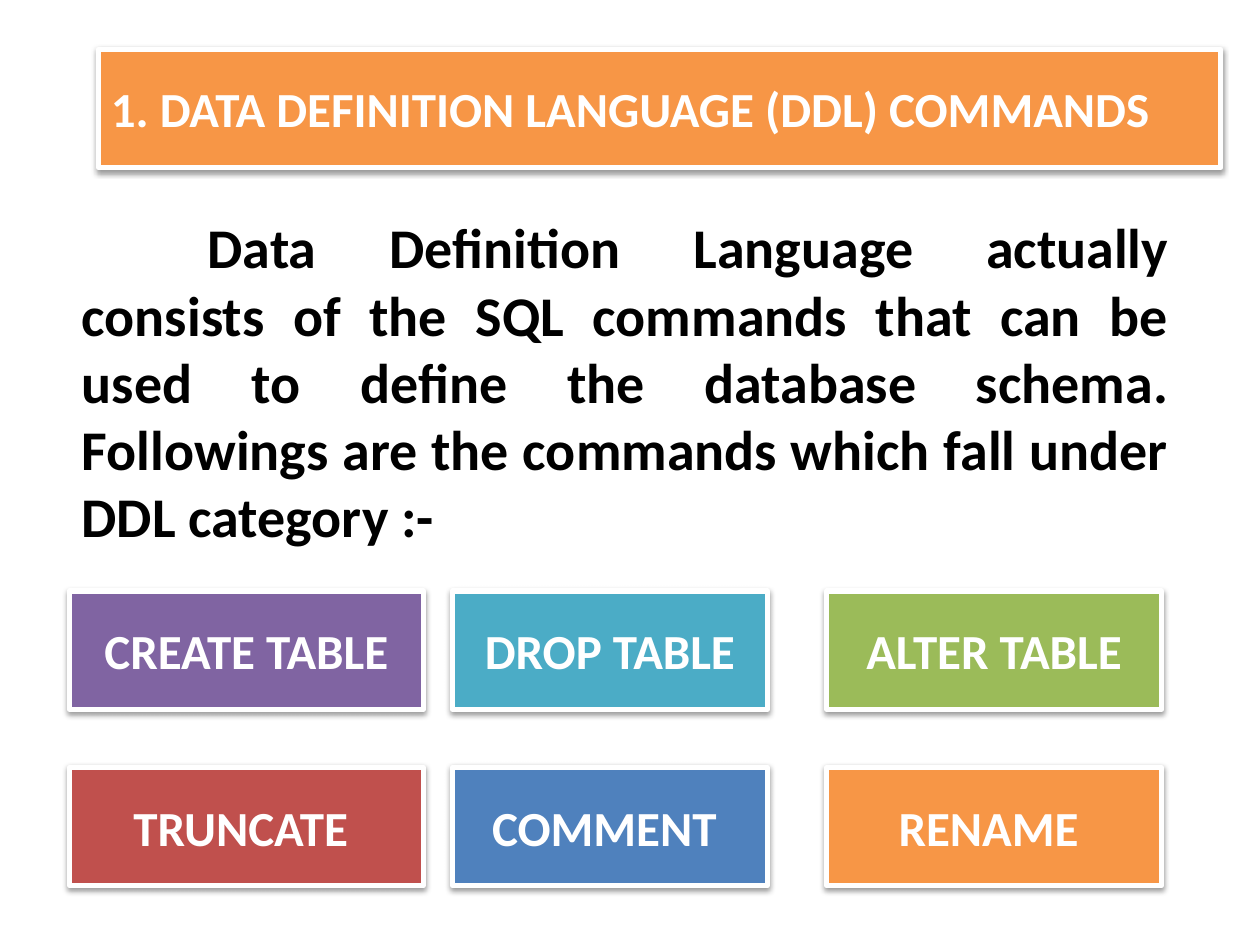
import pptx
import pptx.dml.color
import pptx.enum.shapes
import pptx.enum.text
import pptx.oxml
import pptx.oxml.ns
import pptx.util

Inches = pptx.util.Inches
Pt = pptx.util.Pt
RGBColor = pptx.dml.color.RGBColor
PP_ALIGN = pptx.enum.text.PP_ALIGN

WHITE = RGBColor(0xFF, 0xFF, 0xFF)
BLACK = RGBColor(0x00, 0x00, 0x00)
ORANGE = RGBColor(0xF7, 0x96, 0x46)
PURPLE = RGBColor(0x80, 0x64, 0xA2)
TEAL = RGBColor(0x4B, 0xAC, 0xC6)
GREEN = RGBColor(0x9B, 0xBB, 0x59)
RED = RGBColor(0xC0, 0x50, 0x4D)
BLUE = RGBColor(0x4F, 0x81, 0xBD)

TITLE = "1. DATA DEFINITION LANGUAGE (DDL) COMMANDS"
INTRODUCTION = (
    "\tData Definition Language actually consists of the SQL commands that can be "
    "used to define the database schema. Followings are the commands which fall "
    "under DDL category :-"
)
COMMAND_ROWS = [
    [("CREATE TABLE", PURPLE), ("DROP TABLE", TEAL), ("ALTER TABLE", GREEN)],
    [("TRUNCATE ", RED), ("COMMENT ", BLUE), ("RENAME ", ORANGE)],
]
COLUMNS = [(0.55, 2.81), (3.59, 2.5), (6.56, 2.66)]
ROW_TOPS = [4.69, 6.09]
BOX_HEIGHT = 0.94

NAMESPACE = pptx.oxml.ns.nsdecls("a")
SHADOW = (
    f'<a:outerShdw {NAMESPACE} blurRad="40000" dist="20000" '
    'dir="5400000" rotWithShape="0"><a:srgbClr val="000000">'
    '<a:alpha val="38000"/></a:srgbClr></a:outerShdw>'
)
TAB_STOP = f'<a:tabLst {NAMESPACE}><a:tab pos="{Inches(1)}" algn="l"/></a:tabLst>'


def place(shape, left, top, width, height):
    shape.left, shape.top = Inches(left), Inches(top)
    shape.width, shape.height = Inches(width), Inches(height)


def write(shape, text, size, color, alignment):
    frame = shape.text_frame
    frame.word_wrap = True
    frame.text = text
    paragraph = frame.paragraphs[0]
    paragraph.alignment = alignment
    if text.startswith("\t"):
        paragraph._p.get_or_add_pPr().append(pptx.oxml.parse_xml(TAB_STOP))
    paragraph.font.name = "Calibri"
    paragraph.font.size = Pt(size)
    paragraph.font.bold = True
    paragraph.font.color.rgb = color


def style_box(shape, text, fill, alignment):
    shape.fill.solid()
    shape.fill.fore_color.rgb = fill
    shape.line.color.rgb = WHITE
    shape.line.width = Pt(3)
    shape.shadow.inherit = False
    effects = shape._element.spPr.find(pptx.oxml.ns.qn("a:effectLst"))
    effects.append(pptx.oxml.parse_xml(SHADOW))
    write(shape, text, 28, WHITE, alignment)
    shape.text_frame.auto_size = pptx.enum.text.MSO_AUTO_SIZE.NONE
    shape.text_frame.vertical_anchor = pptx.enum.text.MSO_ANCHOR.MIDDLE


def main():
    presentation = pptx.Presentation()
    presentation.slide_width = Inches(10)
    presentation.slide_height = Inches(7.5)
    slide = presentation.slides.add_slide(presentation.slide_layouts[5])

    title = slide.shapes.title
    place(title, 0.78, 0.39, 8.91, BOX_HEIGHT)
    style_box(title, TITLE, ORANGE, PP_ALIGN.JUSTIFY)

    introduction = slide.shapes.add_textbox(
        Inches(0.55), Inches(1.64), Inches(8.83), Inches(2.79)
    )
    write(introduction, INTRODUCTION, 32, BLACK, PP_ALIGN.JUSTIFY)
    introduction.text_frame.auto_size = pptx.enum.text.MSO_AUTO_SIZE.SHAPE_TO_FIT_TEXT

    for top, commands in zip(ROW_TOPS, COMMAND_ROWS):
        for (left, width), (command, fill) in zip(COLUMNS, commands):
            box = slide.shapes.add_shape(
                pptx.enum.shapes.MSO_SHAPE.RECTANGLE,
                Inches(left), Inches(top), Inches(width), Inches(BOX_HEIGHT),
            )
            style_box(box, command, fill, PP_ALIGN.CENTER)

    presentation.save("out.pptx")


if __name__ == "__main__":
    main()
